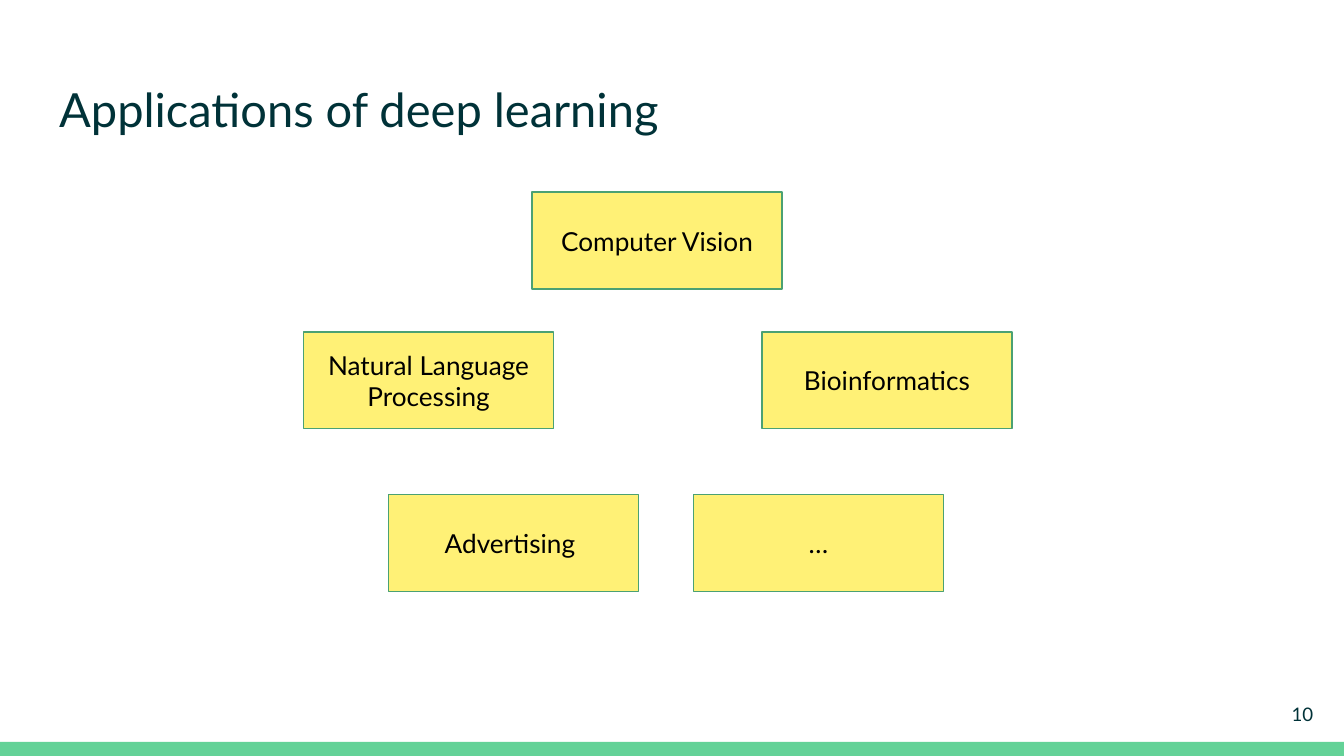
from pptx import Presentation
from pptx.dml.color import RGBColor
from pptx.enum.shapes import MSO_SHAPE
from pptx.enum.text import MSO_ANCHOR, MSO_AUTO_SIZE, PP_ALIGN
from pptx.util import Inches, Pt

RECT = MSO_SHAPE.RECTANGLE
LEFT, CENTER, RIGHT = PP_ALIGN.LEFT, PP_ALIGN.CENTER, PP_ALIGN.RIGHT
MIDDLE, BOTTOM = MSO_ANCHOR.MIDDLE, MSO_ANCHOR.BOTTOM
NO_FIT = MSO_AUTO_SIZE.NONE

COLORS = {"green": "63D297", "ink": "003238", "yellow": "FFF176",
          "border": "4BA173", "black": "000000"}
FONT = "Lato"
SLIDE_W = 10
SLIDE_H = SLIDE_W * 9 / 16
CARD_W, CARD_H = 1.86, 0.72
APPLICATIONS = [
    ("Computer Vision", 1.7, 0),
    ("Natural Language Processing", 0, 1.04),
    ("Bioinformatics", 3.41, 1.04),
    ("Advertising ", 0.63, 2.25),
    ("…", 2.9, 2.25),
]


def color(name):
    return RGBColor.from_string(COLORS[name])


def write(sp, text, size, ink, align, anchor):
    tf = sp.text_frame
    tf.text = text
    tf.word_wrap = True
    tf.auto_size = NO_FIT
    tf.vertical_anchor = anchor
    tf.margin_left = tf.margin_right = Inches(0.1)
    tf.margin_top = tf.margin_bottom = Inches(0.1)
    p = tf.paragraphs[0]
    p.alignment = align
    font = p.runs[0].font
    font.name = FONT
    font.size = Pt(size)
    font.color.rgb = color(ink)


def add_rect(s, x, y, w, h, fill, line=None):
    sp = s.shapes.add_shape(RECT, Inches(x), Inches(y), Inches(w), Inches(h))
    sp.shadow.inherit = False
    sp.fill.solid()
    sp.fill.fore_color.rgb = color(fill)
    if line:
        sp.line.color.rgb = color(line)
        sp.line.width = Pt(0.75)
    else:
        sp.line.fill.background()
    return sp


def add_title(s, x, y, w, h):
    sp = s.shapes.title
    sp.left, sp.top, sp.width, sp.height = map(Inches, (x, y, w, h))
    write(sp, "Applications of deep learning", 25.2, "ink", LEFT, BOTTOM)


def add_applications(s, x, y):
    for label, dx, dy in APPLICATIONS:
        card = add_rect(s, x + dx, y + dy, CARD_W, CARD_H, "yellow", "border")
        write(card, label, 14, "black", CENTER, MIDDLE)


def add_page_number(s, x, y, w, h):
    sp = s.shapes.add_textbox(Inches(x), Inches(y), Inches(w), Inches(h))
    write(sp, "10", 10, "ink", RIGHT, MIDDLE)


def main():
    prs = Presentation()
    prs.slide_width, prs.slide_height = Inches(SLIDE_W), Inches(SLIDE_H)
    s = prs.slides.add_slide(prs.slide_layouts[5])
    add_rect(s, 0, 5.52, SLIDE_W, 0.11, "green")
    add_title(s, 0.34, 0.49, 9.32, 0.63)
    add_applications(s, 2.26, 1.43)
    add_page_number(s, 9.27, 5.1, 0.6, 0.43)
    prs.save("out.pptx")


if __name__ == "__main__":
    main()
